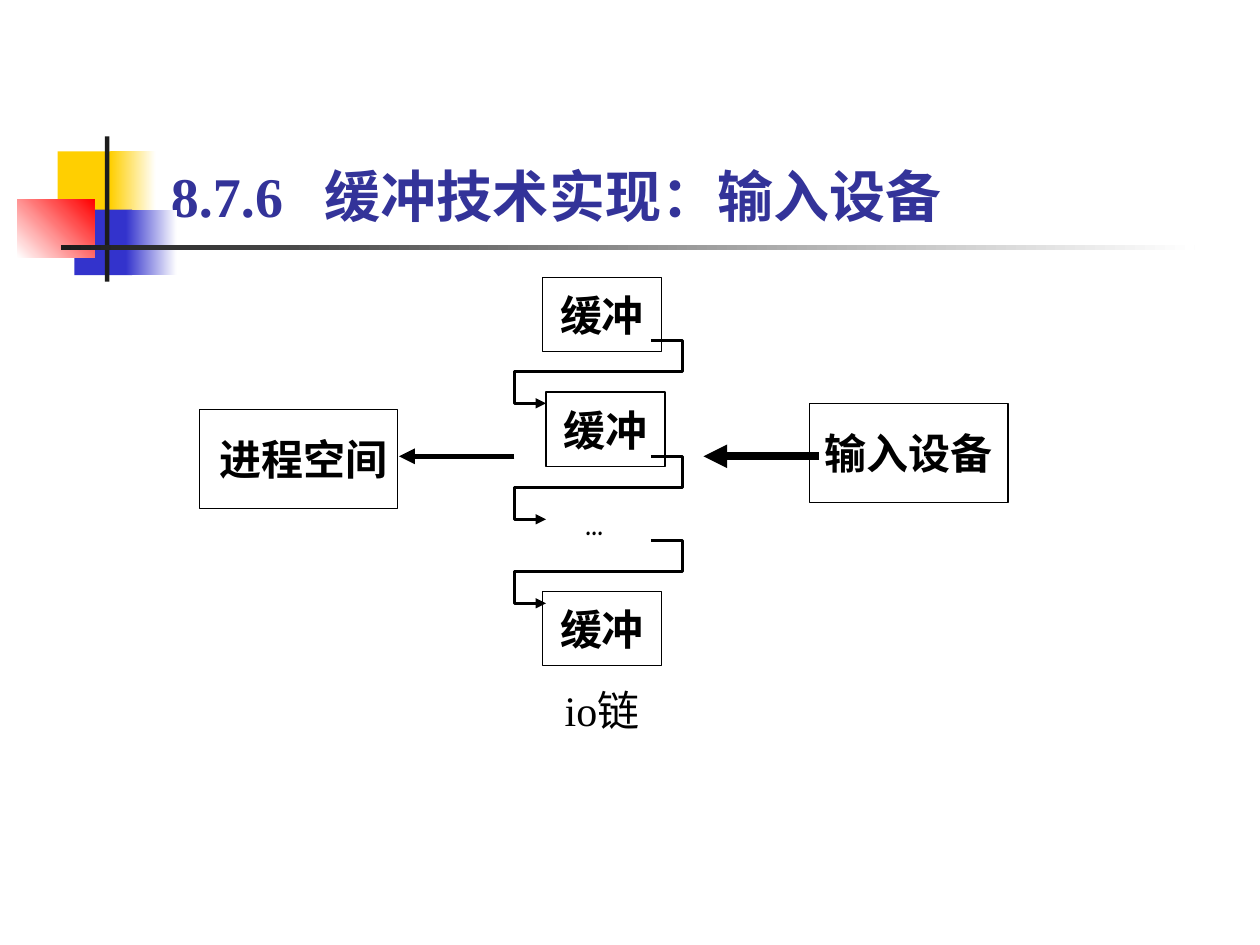
from lxml.etree import SubElement
from pptx import Presentation
from pptx.dml.color import RGBColor
from pptx.enum.shapes import MSO_CONNECTOR, MSO_SHAPE
from pptx.enum.text import MSO_ANCHOR, PP_ALIGN
from pptx.oxml.ns import qn
from pptx.util import Pt

BLACK = RGBColor(0x00, 0x00, 0x00)
WHITE = RGBColor(0xFF, 0xFF, 0xFF)
YELLOW = RGBColor(0xFF, 0xCF, 0x01)
BLUE = RGBColor(0x33, 0x33, 0xCC)
RED = RGBColor(0xFF, 0x00, 0x00)
DARK = RGBColor(0x1C, 0x1C, 0x1C)
TITLE = RGBColor(0x33, 0x33, 0x99)
SERIF = "Times New Roman"
COMIC = "Comic Neue"


def add_rect(s, x, y, w, h, color, end=None, angle=0):
    """Add a borderless rectangle, fading from color to end if end is given."""
    sp = s.shapes.add_shape(MSO_SHAPE.RECTANGLE, Pt(x), Pt(y), Pt(w), Pt(h))
    sp.shadow.inherit = False
    sp.line.fill.background()
    if end is None:
        sp.fill.solid()
        sp.fill.fore_color.rgb = color
    else:
        sp.fill.gradient()
        sp.fill.gradient_angle = angle
        for stop, pos, rgb in zip(sp.fill.gradient_stops, (0, 1), (color, end)):
            stop.position = pos
            stop.color.rgb = rgb
    return sp


def write(tf, text, size=24, font=SERIF, color=BLACK, bold=False, align=PP_ALIGN.LEFT):
    """Write one run into the first paragraph of a text frame."""
    p = tf.paragraphs[0]
    p.alignment = align
    r = p.add_run()
    r.text = text
    r.font.name, r.font.size, r.font.bold = font, Pt(size), bold
    r.font.color.rgb = color
    return p


def add_title(s):
    """Place the title placeholder and set its text."""
    sp = s.shapes.title
    sp.left, sp.top, sp.width, sp.height = Pt(90.5), Pt(88.5), Pt(520), Pt(46)
    tf = sp.text_frame
    tf.vertical_anchor = MSO_ANCHOR.MIDDLE
    p = tf.paragraphs[0]
    tabs = SubElement(p._p.get_or_add_pPr(), qn("a:tabLst"))
    SubElement(tabs, qn("a:tab"), pos=str(Pt(88)), algn="l")
    write(tf, "8.7.6\t缓冲技术实现：输入设备", 32, color=TITLE, bold=True)


def add_box(s, text, x, y, w, h, indent=0):
    """Add a bordered box with a bold centred label."""
    sp = add_rect(s, x, y, w, h, WHITE)
    sp.line.color.rgb = BLACK
    sp.line.width = Pt(0.75)
    tf = sp.text_frame
    tf.word_wrap = False
    tf.vertical_anchor = MSO_ANCHOR.MIDDLE
    tf.margin_left, tf.margin_right = Pt(4.3 + indent), Pt(4.3)
    write(tf, text, bold=True, align=PP_ALIGN.CENTER)


def add_label(s, text, x, y, w, margin, **style):
    """Add a one-line text box."""
    tf = s.shapes.add_textbox(Pt(x), Pt(y), Pt(w), Pt(36)).text_frame
    tf.word_wrap = True
    tf.margin_left = tf.margin_right = Pt(margin)
    write(tf, text, **style)


def style_arrow(sp, width):
    """Draw a line in black with a triangle at its end and no shadow."""
    sp.line.color.rgb = BLACK
    sp.line.width = Pt(width)
    spPr = sp.element.spPr
    SubElement(spPr.find(qn("a:ln")), qn("a:tailEnd"), type="triangle")
    if spPr.find(qn("a:effectLst")) is None:
        SubElement(spPr, qn("a:effectLst"))


def add_arrow(s, x1, x2, y, width):
    """Add a horizontal arrow from x1 to x2."""
    sp = s.shapes.add_connector(MSO_CONNECTOR.STRAIGHT, Pt(x1), Pt(y), Pt(x2), Pt(y))
    style_arrow(sp, width)


def add_link(s, y):
    """Add the stepped arrow that links one buffer to the next."""
    steps = [(390, 0), (390, 18), (294, 18), (294, 36), (312, 36)]
    fb = s.shapes.build_freeform(Pt(372), Pt(y))
    fb.add_line_segments([(Pt(x), Pt(y + dy)) for x, dy in steps], close=False)
    sp = fb.convert_to_shape()
    sp.fill.background()
    sp.shadow.inherit = False
    style_arrow(sp, 1.75)


def add_decoration(s):
    """Add the coloured blocks and rules around the title."""
    add_rect(s, 33, 86.5, 34.5, 37.5, YELLOW)
    add_rect(s, 63, 86.5, 26, 37.5, YELLOW, WHITE)
    add_rect(s, 42.5, 119.75, 33, 37.5, BLUE)
    add_rect(s, 72, 119.75, 29, 37.5, BLUE, WHITE)
    add_rect(s, 10, 113.75, 44, 33.5, WHITE, RED, 45)
    add_rect(s, 60, 78, 2.5, 83, DARK)
    add_rect(s, 34.75, 140.25, 648, 2.5, DARK, WHITE)


def main():
    """Build the slide and save it."""
    prs = Presentation()
    prs.slide_width, prs.slide_height = Pt(720), Pt(540)
    s = prs.slides.add_slide(prs.slide_layouts[5])
    add_decoration(s)
    add_title(s)
    add_box(s, "进程空间", 114, 234, 113.25, 56.75, indent=6)
    add_box(s, "输入设备", 462.75, 230.5, 113.25, 56.75)
    for x, y in ((310, 158.5), (312, 224), (310, 338)):
        add_box(s, "缓冲", x, y, 68, 42.5)
    add_arrow(s, 294, 228, 260.75, 3)
    add_arrow(s, 468, 402, 260.75, 4.5)
    for y in (194.5, 260.75, 308.75):
        add_link(s, y)
    add_label(s, "...", 330, 278.75, 42, 4.3, font=COMIC)
    add_label(s, "io链", 308, 387.5, 72, 7.2, align=PP_ALIGN.CENTER)
    prs.save("out.pptx")


if __name__ == "__main__":
    main()
